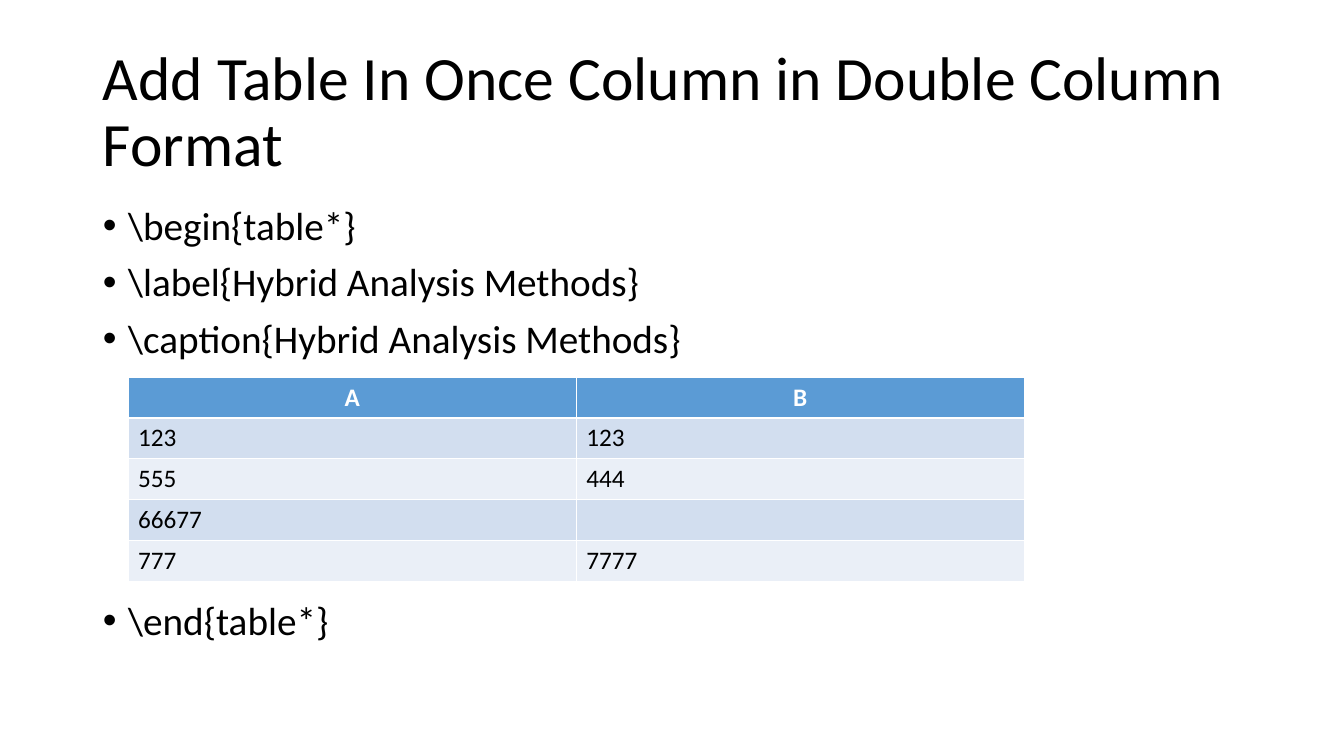
"""Build a slide that shows a table set inside LaTeX table commands."""
from pptx import Presentation
from pptx.dml.color import RGBColor
from pptx.enum.text import MSO_ANCHOR, MSO_AUTO_SIZE, PP_ALIGN
from pptx.util import Inches, Pt

LEFT, CENTER = PP_ALIGN.LEFT, PP_ALIGN.CENTER
MIDDLE, TOP = MSO_ANCHOR.MIDDLE, MSO_ANCHOR.TOP
NO_FIT = MSO_AUTO_SIZE.NONE
COLORS = {
    "text": "000000",
    "header_text": "FFFFFF",
    "header": "5B9BD5",
    "odd_row": "D2DEEF",
    "even_row": "EAEFF7",
}


def write(para, text, size=18, color="text", bold=False, align=LEFT, spacing=1.0, before=0):
    para.alignment = align
    para.line_spacing = spacing
    para.space_before = Pt(before)
    span = para.add_run()
    span.text = text
    span.font.name = "Calibri"
    span.font.size = Pt(size)
    span.font.bold = bold
    span.font.color.rgb = RGBColor.from_string(COLORS[color])


def place(box, top, height, anchor):
    box.left, box.top = Inches(0.92), Inches(top)
    box.width, box.height = Inches(11.5), Inches(height)
    box.text_frame.word_wrap = True
    box.text_frame.auto_size = NO_FIT
    box.text_frame.vertical_anchor = anchor


deck = Presentation()
deck.slide_width, deck.slide_height = Inches(13.33), Inches(7.5)
page = deck.slides.add_slide(deck.slide_layouts[1])

title = page.shapes.title
place(title, 0.4, 1.45, MIDDLE)
write(title.text_frame.paragraphs[0], "Add Table In Once Column in Double Column Format",
      size=44, spacing=0.9)

body = page.placeholders[1]
place(body, 2, 4.76, TOP)
commands = [
    (r"\begin{table*}", 0),
    (r"\label{Hybrid Analysis Methods}", 10),
    (r"\caption{Hybrid Analysis Methods}", 10),
    (r"\end{table*}", 171),
]
for index, (command, before) in enumerate(commands):
    para = body.text_frame.add_paragraph() if index else body.text_frame.paragraphs[0]
    properties = para._p.get_or_add_pPr()
    properties.set("marL", str(Inches(0.25)))
    properties.set("indent", str(Inches(-0.25)))
    write(para, command, size=28, spacing=0.9, before=before)

rows = [("A", "B"), ("123", "123"), ("555", "444"), ("66677", ""), ("777", "7777")]
table = page.shapes.add_table(len(rows), 2, Inches(1.27), Inches(3.74),
                              Inches(8.89), Inches(2.03)).table
for row_index, row in enumerate(rows):
    is_header = row_index == 0
    fill = "header" if is_header else "odd_row" if row_index % 2 else "even_row"
    for column_index, text in enumerate(row):
        cell = table.cell(row_index, column_index)
        cell.fill.solid()
        cell.fill.fore_color.rgb = RGBColor.from_string(COLORS[fill])
        if text:
            write(cell.text_frame.paragraphs[0], text, bold=is_header,
                  color="header_text" if is_header else "text",
                  align=CENTER if is_header else LEFT)

deck.save("out.pptx")
